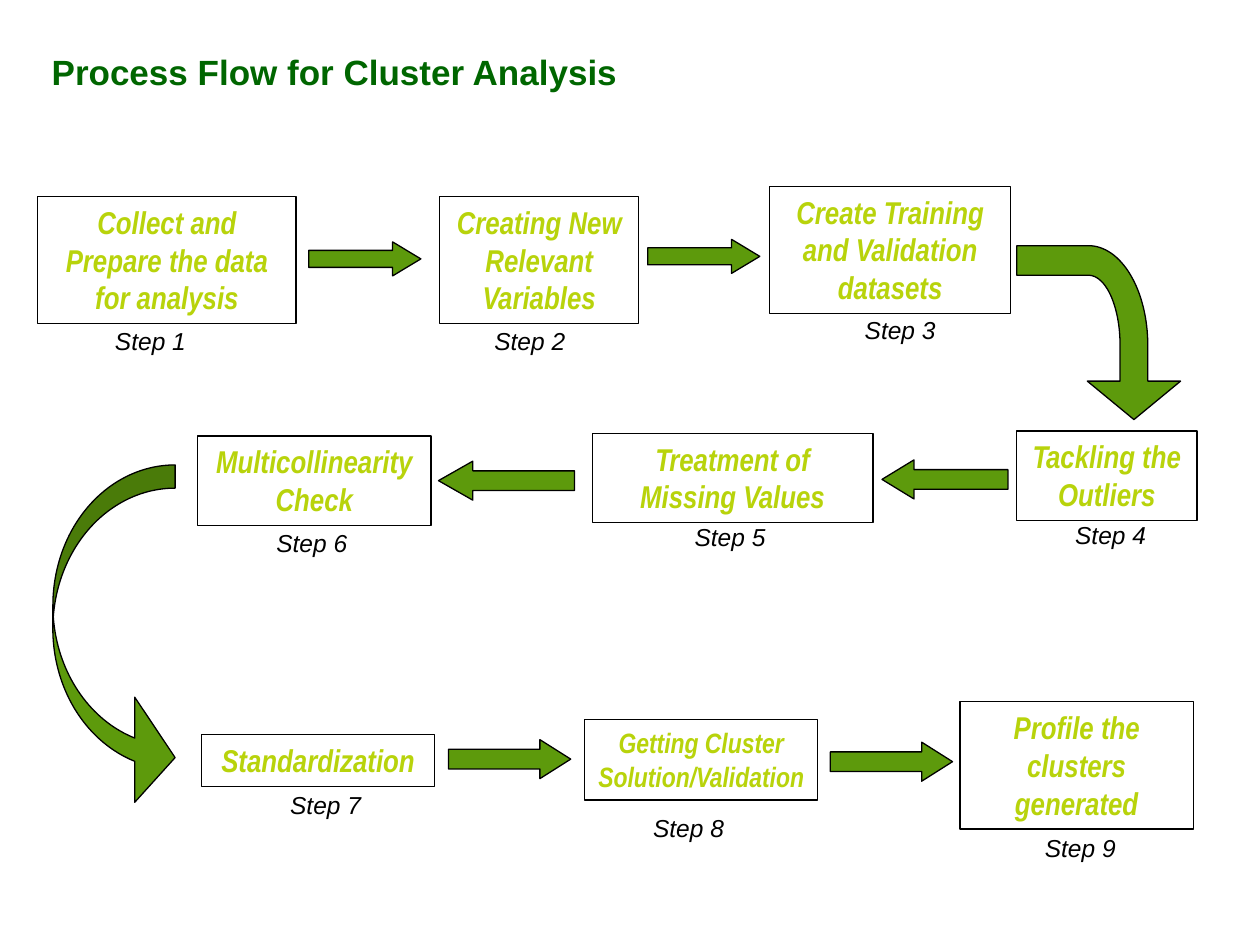
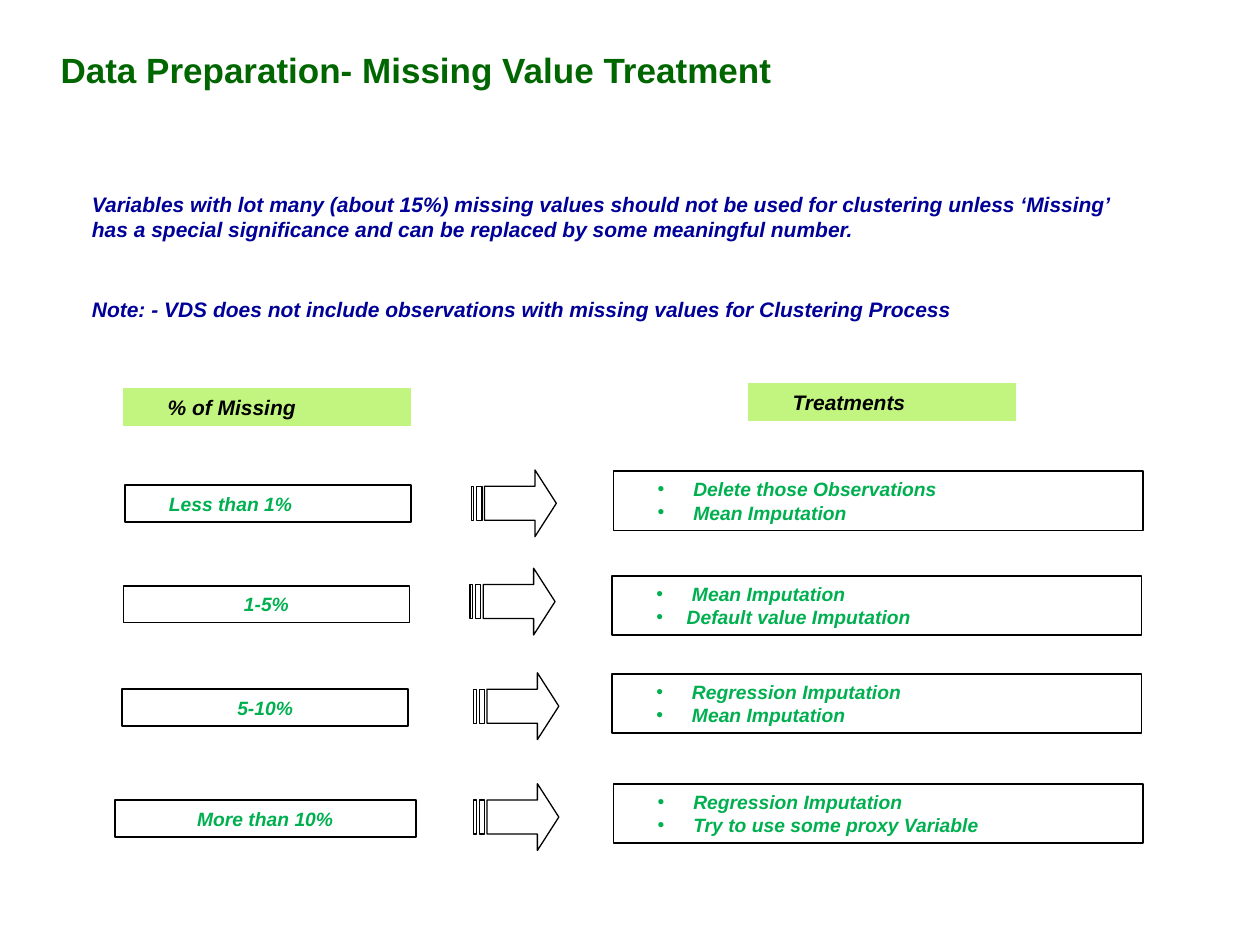
from math import cos, pi, sin

from lxml.etree import SubElement
from pptx import Presentation
from pptx.dml.color import RGBColor
from pptx.enum.shapes import MSO_SHAPE
from pptx.enum.text import MSO_ANCHOR, PP_ALIGN
from pptx.oxml.ns import qn
from pptx.util import Inches, Pt

# Shared look
BLACK, TITLE_GREEN, ARROW_GREEN = "000000", "006600", "5D9A0C"
LIME, PALE_GREEN, TEXT_GREEN, NAVY = "B8D30B", "C2F57F", "00B050", "000099"
LEFT, CENTER = PP_ALIGN.LEFT, PP_ALIGN.CENTER
TOP, MIDDLE = MSO_ANCHOR.TOP, MSO_ANCHOR.MIDDLE
STEP_INSETS, TITLE_INSETS, PANEL_INSETS = (0.1, 0.05), (0.09, 0.04), (0.35, 0.05)
BULLET_INDENT = Inches(0.24)

# The slide is a grid of 100 columns by 75 rows
SLIDE_W, SLIDE_H = Inches(10), Inches(7.5)


def col(n):
    return round(SLIDE_W * n / 100)


def row(n):
    return round(SLIDE_H * n / 75)


def place(left, top, width, height):
    return col(left), row(top), col(width), row(height)


def rgb(color):
    return RGBColor.from_string(color)


def paint(sp, fill=None, line=None, weight=0.75):
    sp.shadow.inherit = False
    if fill:
        sp.fill.solid()
        sp.fill.fore_color.rgb = rgb(fill)
    else:
        sp.fill.background()
    if line:
        sp.line.color.rgb = rgb(line)
        sp.line.width = Pt(weight)
    else:
        sp.line.fill.background()
    return sp


def add_bullet(p):
    pPr = p._p.get_or_add_pPr()
    pPr.set("marL", str(BULLET_INDENT))
    pPr.set("indent", str(-BULLET_INDENT))
    SubElement(pPr, qn("a:buFont")).set("typeface", "Arial")
    SubElement(pPr, qn("a:buChar")).set("char", "•")


def write(sp, lines, size, color, font="Arial", bold=True, italic=True,
          align=LEFT, anchor=MIDDLE, insets=PANEL_INSETS, bullets=False):
    tf = sp.text_frame
    tf.word_wrap = True
    tf.vertical_anchor = anchor
    tf.margin_left = tf.margin_right = Inches(insets[0])
    tf.margin_top = tf.margin_bottom = Inches(insets[1])
    for i, line in enumerate(lines):
        p = tf.add_paragraph() if i else tf.paragraphs[0]
        p.alignment = align
        if bullets:
            add_bullet(p)
        r = p.add_run()
        r.text = line
        r.font.name, r.font.size = font, Pt(size)
        r.font.bold, r.font.italic = bold, italic
        r.font.color.rgb = rgb(color)


def add_title(s, text, *area):
    sp = s.shapes.add_textbox(*place(*area))
    write(sp, [text], 20, TITLE_GREEN, italic=False, insets=TITLE_INSETS)


# Process flow parts
def add_step(s, number, text, left, top, width, height, label_left, label_top, size=18):
    sp = s.shapes.add_shape(MSO_SHAPE.RECTANGLE, *place(left, top, width, height))
    paint(sp, line=BLACK)
    write(sp, [text], size, LIME, "Arial Narrow", align=CENTER,
          anchor=TOP, insets=STEP_INSETS)
    label = s.shapes.add_textbox(*place(label_left, label_top, 9.3, 3.3))
    write(label, [f"Step {number}"], 14, BLACK, bold=False, align=CENTER,
          anchor=TOP, insets=STEP_INSETS)


def add_arrow(s, kind, area, adjustments):
    sp = paint(s.shapes.add_shape(kind, *place(*area)), ARROW_GREEN, BLACK)
    for i, value in enumerate(adjustments):
        sp.adjustments[i] = value


def add_outline(s, contours, fill=None):
    """Draw closed contours given as lists of (column, row) points."""
    scaled = [[(col(x), row(y)) for x, y in points] for points in contours]
    fb = s.shapes.build_freeform(*scaled[0][0])
    for i, points in enumerate(scaled):
        if i:
            fb.move_to(*points[0])
        fb.add_line_segments(points[1:], close=True)
    return paint(fb.convert_to_shape(), fill, BLACK)


def quarter_turn(cx, cy, rx, ry, steps=32):
    """Points from the top of an ellipse clockwise to its right end."""
    angles = [pi / 2 * i / steps for i in range(steps + 1)]
    return [(cx + rx * sin(a), cy - ry * cos(a)) for a in angles]


def add_bent_arrow(s):
    outer = quarter_turn(86.4, 27.4, 4.7, 7.9)
    inner = quarter_turn(86.4, 27.4, 2.5, 5.55)
    head = [(91.1, 30.25), (93.7, 30.25), (90, 33.3), (86.3, 30.25), (88.9, 30.25)]
    add_outline(s, [[(80.7, 19.5)] + outer + head + inner[::-1] + [(80.7, 21.85)]],
                ARROW_GREEN)


# Missing value parts
def add_panel(s, lines, area, size, color, fill=None, line=None, **style):
    sp = s.shapes.add_shape(MSO_SHAPE.FLOWCHART_PROCESS, *place(*area))
    paint(sp, fill, line, weight=1)
    write(sp, lines, size, color, **style)


def add_striped_arrow(s, left, top):
    high, low, middle = top + 1.3, top + 4, top + 2.65
    tail, neck, tip = left + 1.05, left + 5.05, left + 6.75
    head = [(neck, top), (neck, high), (tail, high), (tail, low),
            (neck, low), (neck, top + 5.3), (tip, middle)]
    stripes = [[(a, high), (a, low), (b, low), (b, high)]
               for a, b in ((left + 0.43, left + 0.85), (left, left + 0.2))]
    add_outline(s, [head] + stripes)


def build_process_flow(s):
    add_title(s, "Process Flow for Cluster Analysis", 3.2, 0.3, 93.4, 10.8)
    # text, box left, top, width, height, label left, label top, text size
    steps = [
        ("Collect and Prepare the data for analysis", 3, 15.6, 20.5, 10.1, 7.3, 25.4),
        ("Creating New Relevant Variables", 34.9, 15.6, 15.8, 10.1, 37.4, 25.4),
        ("Create Training and Validation datasets", 61.1, 14.8, 19.1, 10.1, 66.8, 24.5),
        ("Tackling the Outliers", 80.7, 34.2, 14.3, 7.1, 83.5, 40.8),
        ("Treatment of Missing Values", 47, 34.4, 22.3, 7.1, 53.3, 40.9),
        ("Multicollinearity Check", 15.7, 34.6, 18.5, 7.1, 20.1, 41.4),
        ("Standardization", 16, 58.3, 18.5, 4.1, 21.2, 62.2),
        ("Getting Cluster Solution/Validation", 46.4, 57.1, 18.5, 6.4, 50, 64, 16),
        ("Profile the clusters generated", 76.2, 55.7, 18.5, 10.1, 81.1, 65.6),
    ]
    for number, step in enumerate(steps, 1):
        add_step(s, number, *step)

    right, left = MSO_SHAPE.RIGHT_ARROW, MSO_SHAPE.LEFT_ARROW
    arrows = [
        (right, (24.5, 19.2, 8.9, 2.7), 0.83),
        (right, (51.4, 19, 8.9, 2.7), 0.83),
        (left, (70, 36.5, 10, 3.1), 0.82),
        (left, (34.8, 36.6, 10.8, 3.1), 0.88),
        (right, (35.6, 58.7, 9.7, 3.1), 0.79),
        (right, (65.9, 58.9, 9.7, 3.1), 0.79),
    ]
    for kind, area, head in arrows:
        add_arrow(s, kind, area, (0.5, head))
    add_bent_arrow(s)
    add_arrow(s, MSO_SHAPE.CURVED_RIGHT_ARROW, (4.2, 36.9, 9.7, 27.4), (0.19, 0.86, 0.33))


def build_missing_values(s):
    add_title(s, "Data Preparation- Missing Value Treatment", 3.9, 3.3, 85.2, 4.4)
    # Notes
    add_panel(s, ["Variables with lot many (about 15%) missing values should not be used "
                  "for clustering unless ‘Missing’ has a special significance and can be "
                  "replaced by some meaningful number."], (3.8, 14.7, 90.3, 5), 12, NAVY)
    add_panel(s, ["Note: - VDS does not include observations with missing values for "
                  "Clustering Process"], (3.8, 23, 90.3, 3), 12, NAVY)
    # Column headings
    add_panel(s, ["% of Missing"], (9.8, 30.8, 22.8, 3), 12, BLACK, PALE_GREEN)
    add_panel(s, ["Treatments"], (59.4, 30.4, 21.2, 3), 12, BLACK, PALE_GREEN)
    # share: text, alignment, left, top, width; arrow: left, top; treatments: left, top, lines
    rows = [
        (("Less than 1%", LEFT, 9.9, 38.5, 22.7), (37.4, 37.3),
         (48.7, 37.4, [" Delete those Observations", " Mean Imputation"])),
        (("1-5%", CENTER, 9.8, 46.5, 22.7), (37.3, 45.1),
         (48.6, 45.7, [" Mean Imputation", "Default value Imputation"])),
        (("5-10%", CENTER, 9.7, 54.7, 22.7), (37.6, 53.4),
         (48.6, 53.5, [" Regression Imputation", " Mean Imputation"])),
        (("More than 10%", CENTER, 9.1, 63.5, 23.9), (37.6, 62.2),
         (48.7, 62.2, [" Regression Imputation", " Try to use some proxy Variable"])),
    ]
    for (share, align, left, top, width), arrow, (x, y, treatments) in rows:
        add_panel(s, [share], (left, top, width, 2.9), 11, TEXT_GREEN, line=BLACK, align=align)
        add_striped_arrow(s, *arrow)
        add_panel(s, treatments, (x, y, 42, 4.7), 11, TEXT_GREEN, line=BLACK, bullets=True)


def main():
    prs = Presentation()
    prs.slide_width, prs.slide_height = SLIDE_W, SLIDE_H
    for build in (build_process_flow, build_missing_values):
        build(prs.slides.add_slide(prs.slide_layouts[6]))
    prs.save("out.pptx")


if __name__ == "__main__":
    main()
